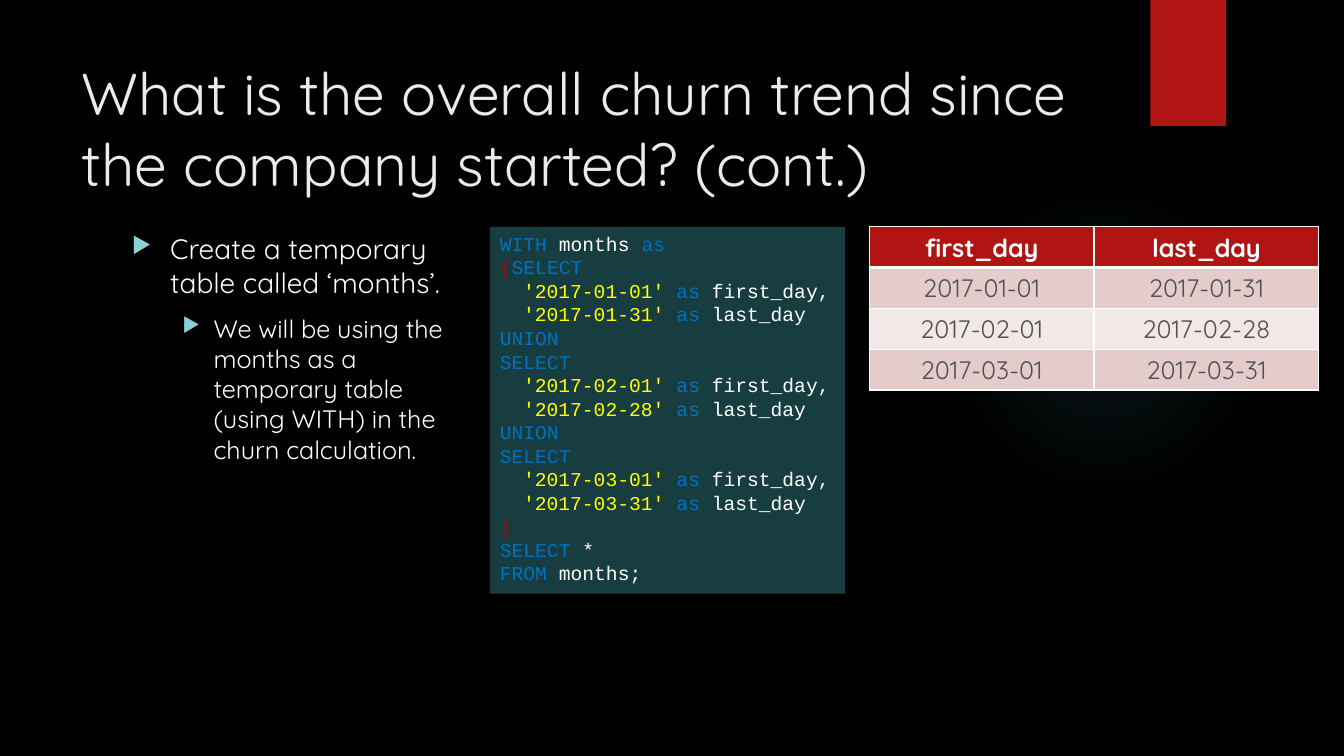
import dataclasses
import typing

import lxml.etree
import pptx
import pptx.dml.color
import pptx.enum.shapes
import pptx.enum.text
import pptx.oxml
import pptx.oxml.ns
import pptx.util

SLIDE_WIDTH = pptx.util.Inches(13.33)
SLIDE_HEIGHT = pptx.util.Inches(7.5)
HEADING_FONT = "Quicksand"
CODE_FONT = "Courier New"
RED, WHITE, KEYWORD, LITERAL, BRACKET = "B01513", "FFFFFF", "0070C0", "FFFF00", "C00000"
A_NS = "http://schemas.openxmlformats.org/drawingml/2006/main"


@dataclasses.dataclass(frozen=True)
class Frame:
    """Position and size in percent of the slide."""
    left: float
    top: float
    width: float
    height: float

    def box(self) -> tuple[int, int, int, int]:
        return (
            int(SLIDE_WIDTH * self.left / 100),
            int(SLIDE_HEIGHT * self.top / 100),
            int(SLIDE_WIDTH * self.width / 100),
            int(SLIDE_HEIGHT * self.height / 100),
        )


@dataclasses.dataclass(frozen=True)
class Piece:
    text: str
    color: str = WHITE


@dataclasses.dataclass(frozen=True)
class Line:
    pieces: tuple[Piece, ...]
    size: float
    font: str = HEADING_FONT
    margin: float = 0
    hanging: float = 0
    before: float = 0
    bullet: bool = False
    bold: bool = False
    align: typing.Any = pptx.enum.text.PP_ALIGN.LEFT


def color(value: str) -> pptx.dml.color.RGBColor:
    return pptx.dml.color.RGBColor.from_string(value)


def add_bullet(properties: typing.Any) -> None:
    tint = lxml.etree.SubElement(properties, pptx.oxml.ns.qn("a:buClr"))
    lxml.etree.SubElement(tint, pptx.oxml.ns.qn("a:srgbClr"), val="8AD0D6")
    lxml.etree.SubElement(properties, pptx.oxml.ns.qn("a:buSzPct"), val="80000")
    lxml.etree.SubElement(properties, pptx.oxml.ns.qn("a:buChar"), char="▶")


def write(text_frame: typing.Any, lines: typing.Sequence[Line]) -> None:
    text_frame.word_wrap = True
    for index, line in enumerate(lines):
        paragraph = text_frame.paragraphs[0] if index == 0 else text_frame.add_paragraph()
        paragraph.alignment = line.align
        paragraph.space_before = pptx.util.Pt(line.before)
        properties = paragraph._p.get_or_add_pPr()
        properties.set("marL", str(pptx.util.Inches(line.margin)))
        properties.set("indent", str(-pptx.util.Inches(line.hanging)))
        if line.bullet:
            add_bullet(properties)
        for piece in line.pieces:
            run = paragraph.add_run()
            run.text = piece.text
            run.font.name = line.font
            run.font.size = pptx.util.Pt(line.size)
            run.font.bold = line.bold
            run.font.color.rgb = color(piece.color)


def add_panel(slide: typing.Any, kind: typing.Any, frame: Frame, fill: str) -> typing.Any:
    panel = slide.shapes.add_shape(kind, *frame.box())
    panel.shadow.inherit = False
    panel.fill.solid()
    panel.fill.fore_color.rgb = color(fill)
    panel.line.fill.background()
    return panel


def add_glow(slide: typing.Any, frame: Frame, tint: str) -> None:
    glow = add_panel(slide, pptx.enum.shapes.MSO_SHAPE.OVAL, frame, tint)
    stops = "".join(
        f'<a:gs pos="{position * 1000}"><a:srgbClr val="{tint}">'
        f'<a:alpha val="{alpha * 1000}"/></a:srgbClr></a:gs>'
        for position, alpha in ((0, 7), (36, 6), (69, 0), (100, 0))
    )
    gradient = pptx.oxml.parse_xml(
        f'<a:gradFill xmlns:a="{A_NS}"><a:gsLst>{stops}</a:gsLst><a:path path="circle">'
        '<a:fillToRect l="50000" t="50000" r="50000" b="50000"/></a:path></a:gradFill>'
    )
    properties = glow._element.spPr
    properties.replace(properties.find(pptx.oxml.ns.qn("a:solidFill")), gradient)


def add_text(slide: typing.Any, frame: Frame, lines: typing.Sequence[Line], anchor: typing.Any) -> None:
    text_frame = slide.shapes.add_textbox(*frame.box()).text_frame
    text_frame.vertical_anchor = anchor
    write(text_frame, lines)


def code_lines(months: typing.Sequence[tuple[str, str]]) -> list[Line]:
    def code(*pieces: Piece, margin: float = 0) -> Line:
        return Line(pieces, 14, CODE_FONT, margin=margin)

    def day(value: str, name: str) -> Line:
        return code(Piece(f"'{value}' ", LITERAL), Piece("as", KEYWORD), Piece(f" {name}"), margin=0.23)

    select = Piece("SELECT", KEYWORD)
    lines = [code(Piece("WITH ", KEYWORD), Piece("months "), Piece("as", KEYWORD))]
    for index, (first, last) in enumerate(months):
        if index:
            lines += [code(Piece("UNION", KEYWORD)), code(select)]
        else:
            lines.append(code(Piece("(", BRACKET), select))
        lines += [day(first, "first_day,"), day(last, "last_day")]
    return lines + [
        code(Piece(")", BRACKET)),
        code(select, Piece(" *")),
        code(Piece("FROM ", KEYWORD), Piece("months;")),
    ]


def add_borders(cell: typing.Any, top: int, bottom: int) -> None:
    properties = cell._tc.get_or_add_tcPr()
    for index, (side, width) in enumerate((("L", 1), ("R", 1), ("T", top), ("B", bottom))):
        border = pptx.oxml.parse_xml(
            f'<a:ln{side} xmlns:a="{A_NS}" w="{pptx.util.Pt(width)}"><a:solidFill>'
            f'<a:srgbClr val="{WHITE}"/></a:solidFill></a:ln{side}>'
        )
        properties.insert(index, border)


def add_months_table(slide: typing.Any, frame: Frame, rows: typing.Sequence[tuple[str, str]]) -> None:
    table = slide.shapes.add_table(len(rows), len(rows[0]), *frame.box()).table
    for row, values in enumerate(rows):
        header = row == 0
        fill = RED if header else ("F2E8E7", "E4CCCC")[row % 2]
        for column, value in enumerate(values):
            cell = table.cell(row, column)
            cell.vertical_anchor = pptx.enum.text.MSO_ANCHOR.MIDDLE
            cell.fill.solid()
            cell.fill.fore_color.rgb = color(fill)
            add_borders(cell, top=3 if row == 1 else 1, bottom=3 if header else 1)
            label = Piece(value, WHITE if header else "525252")
            write(cell.text_frame, [Line((label,), 18, bold=header, align=pptx.enum.text.PP_ALIGN.CENTER)])


def main() -> None:
    presentation = pptx.Presentation()
    presentation.slide_width = SLIDE_WIDTH
    presentation.slide_height = SLIDE_HEIGHT
    slide = presentation.slides.add_slide(presentation.slide_layouts[6])
    slide.background.fill.solid()
    slide.background.fill.fore_color.rgb = color("000000")

    months = [("2017-01-01", "2017-01-31"), ("2017-02-01", "2017-02-28"), ("2017-03-01", "2017-03-31")]
    question = Piece("What is the overall churn trend since the company started? (cont.)", "EBEBEB")
    step = Piece("Create a temporary table called ‘months’.")
    reason = Piece("We will be using the months as a temporary table (using WITH) in the churn calculation.")
    anchors = pptx.enum.text.MSO_ANCHOR
    rectangle = pptx.enum.shapes.MSO_SHAPE.RECTANGLE

    add_glow(slide, Frame(70.59, 24.4, 23.1, 41.07), "50B9C1")
    add_panel(slide, rectangle, Frame(85.6, 0, 5.63, 16.67), RED)
    add_text(slide, Frame(5.33, 6.67, 77.19, 20.4), [Line((question,), 42)], anchors.MIDDLE)
    explanation = [
        Line((step,), 20, margin=0.38, hanging=0.38, before=10, bullet=True),
        Line((reason,), 18, margin=0.81, hanging=0.31, before=10, bullet=True),
    ]
    add_text(slide, Frame(9.08, 30, 27.38, 61.2), explanation, anchors.TOP)
    query = add_panel(slide, rectangle, Frame(36.46, 30, 26.41, 48.53), "173D40")
    query.text_frame.vertical_anchor = anchors.TOP
    write(query.text_frame, code_lines(months))
    add_months_table(slide, Frame(64.67, 30, 33.46, 21.6), [("first_day", "last_day"), *months])

    presentation.save("out.pptx")


if __name__ == "__main__":
    main()
